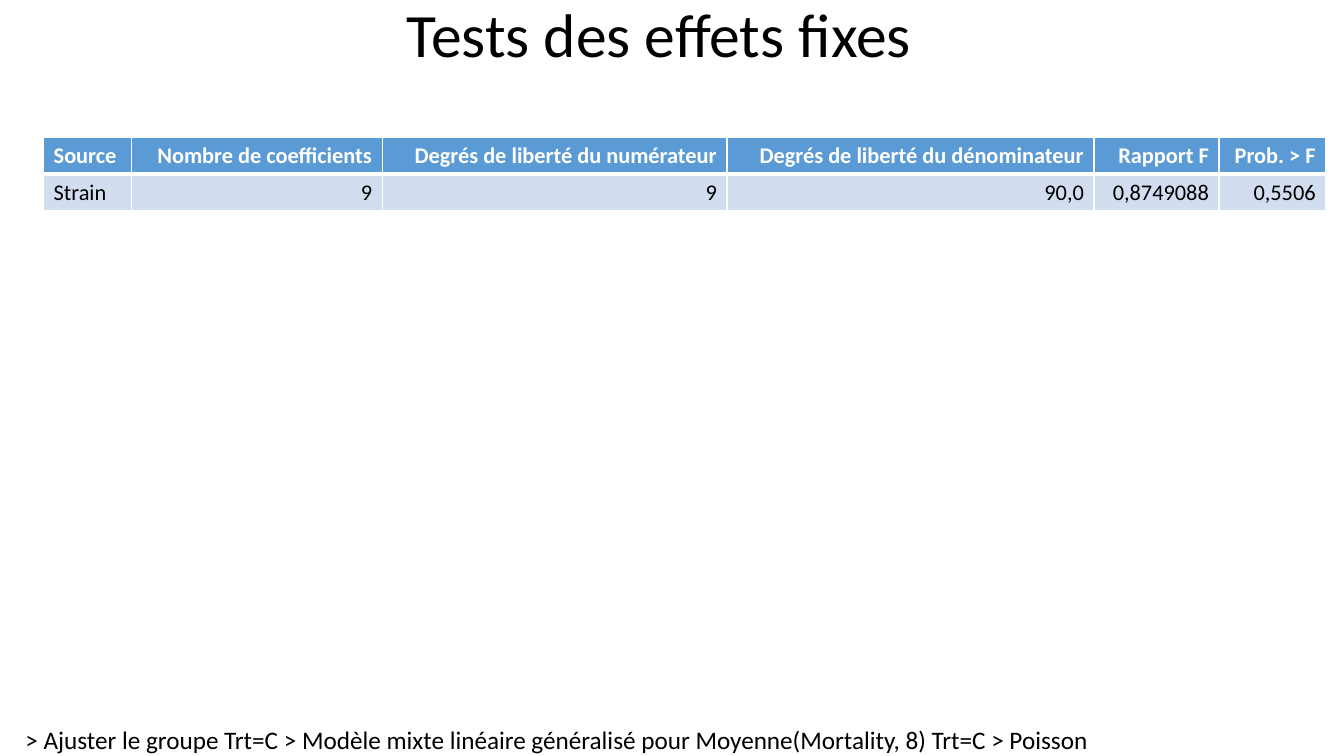
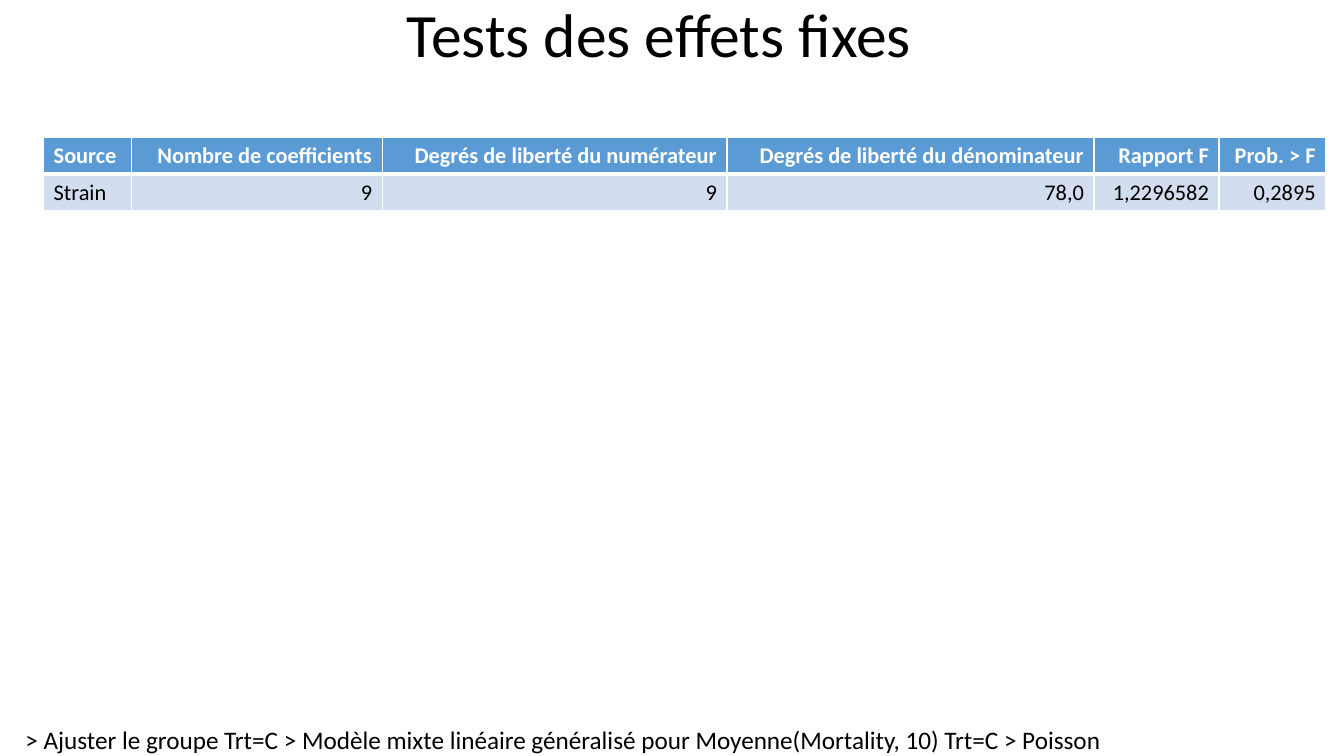
from lxml import etree
from pptx import Presentation
from pptx import util as u
from pptx.dml.color import RGBColor
from pptx.enum import text
from pptx.oxml.ns import qn

FONT = "Calibri"
COLORS = {"text": "000000", "paper": "FFFFFF", "header": "5B9BD5", "body": "D2DEEF"}
TITLE = "Tests des effets fixes"
TITLE_BOX = (0, 0, 33.22, 1.9)
TABLE_BOX = (1.1, 3.45, 32.31, 1.86)
FOOTER_LEFT, FOOTER_TOP, FOOTER_HEIGHT = 0.64, 18.26, 0.79
COLUMN_WIDTHS = (2.21, 6.32, 8.69, 9.25, 3.15, 2.69)
HEADERS = (
    "Source",
    "Nombre de coefficients",
    "Degrés de liberté du numérateur",
    "Degrés de liberté du dénominateur",
    "Rapport F",
    "Prob. > F",
)
TESTS = (
    (8, 27, ("Strain", "9", "9", "90,0", "0,8749088", "0,5506")),
    (10, 27.33, ("Strain", "9", "9", "78,0", "1,2296582", "0,2895")),
)


def color(name):
    return RGBColor.from_string(COLORS[name])


def set_font(paragraph, size, color_name="text", bold=False):
    paragraph.font.name = FONT
    paragraph.font.size = u.Pt(size)
    paragraph.font.bold = bold
    paragraph.font.color.rgb = color(color_name)


def set_borders(cell, bottom_width):
    properties = cell._tc.get_or_add_tcPr()
    for side, width in (("L", 1), ("R", 1), ("T", 1), ("B", bottom_width)):
        line = etree.SubElement(properties, qn(f"a:ln{side}"), w=str(u.Pt(width)))
        fill = etree.SubElement(line, qn("a:solidFill"))
        etree.SubElement(fill, qn("a:srgbClr"), val=COLORS["paper"])


def add_title(slide, box):
    title = slide.shapes.title
    title.left, title.top, title.width, title.height = map(u.Cm, box)
    frame = title.text_frame
    frame.text = TITLE
    frame.auto_size = text.MSO_AUTO_SIZE.NONE
    frame.vertical_anchor = text.MSO_ANCHOR.MIDDLE
    paragraph = frame.paragraphs[0]
    paragraph.alignment = text.PP_ALIGN.CENTER
    paragraph.line_spacing = 0.9
    set_font(paragraph, 44)


def fill_row(row, values, fill_name, color_name, bold, bottom_width):
    for index, (cell, value) in enumerate(zip(row.cells, values)):
        cell.text = value
        set_borders(cell, bottom_width)
        cell.fill.solid()
        cell.fill.fore_color.rgb = color(fill_name)
        paragraph = cell.text_frame.paragraphs[0]
        paragraph.alignment = text.PP_ALIGN.RIGHT if index else text.PP_ALIGN.LEFT
        set_font(paragraph, 16, color_name, bold)


def add_test_table(slide, box, values):
    table = slide.shapes.add_table(2, len(HEADERS), *map(u.Cm, box)).table
    for column, width in zip(table.columns, COLUMN_WIDTHS):
        column.width = u.Cm(width)
    fill_row(table.rows[0], HEADERS, "header", "paper", True, 3)
    fill_row(table.rows[1], values, "body", "text", False, 1)


def add_footer(slide, box, day):
    frame = slide.shapes.add_textbox(*map(u.Cm, box)).text_frame
    frame.margin_left = frame.margin_top = frame.margin_right = frame.margin_bottom = 0
    frame.word_wrap = False
    frame.auto_size = text.MSO_AUTO_SIZE.SHAPE_TO_FIT_TEXT
    frame.text = (
        "> Ajuster le groupe Trt=C > Modèle mixte linéaire généralisé "
        f"pour Moyenne(Mortality, {day}) Trt=C > Poisson"
    )
    set_font(frame.paragraphs[0], 18)


def add_test_slide(presentation, day, footer_width, values):
    slide = presentation.slides.add_slide(presentation.slide_layouts[5])
    add_footer(slide, (FOOTER_LEFT, FOOTER_TOP, footer_width, FOOTER_HEIGHT), day)
    add_title(slide, TITLE_BOX)
    add_test_table(slide, TABLE_BOX, values)


def main():
    """Build one slide of fixed effects tests for each mortality day."""
    presentation = Presentation()
    presentation.slide_width = u.Cm(33.87)
    presentation.slide_height = u.Cm(19.05)
    for test in TESTS:
        add_test_slide(presentation, *test)
    presentation.save("out.pptx")


if __name__ == "__main__":
    main()
